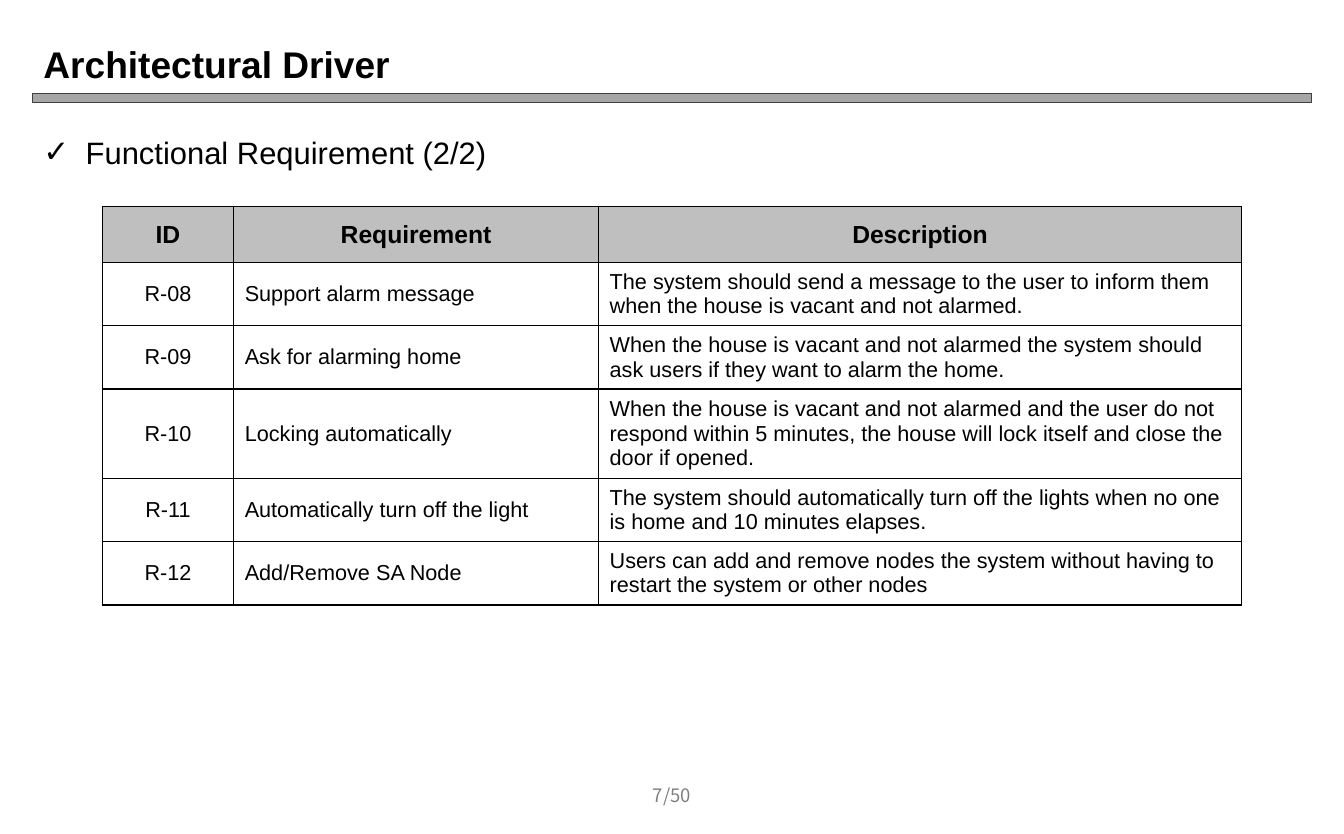
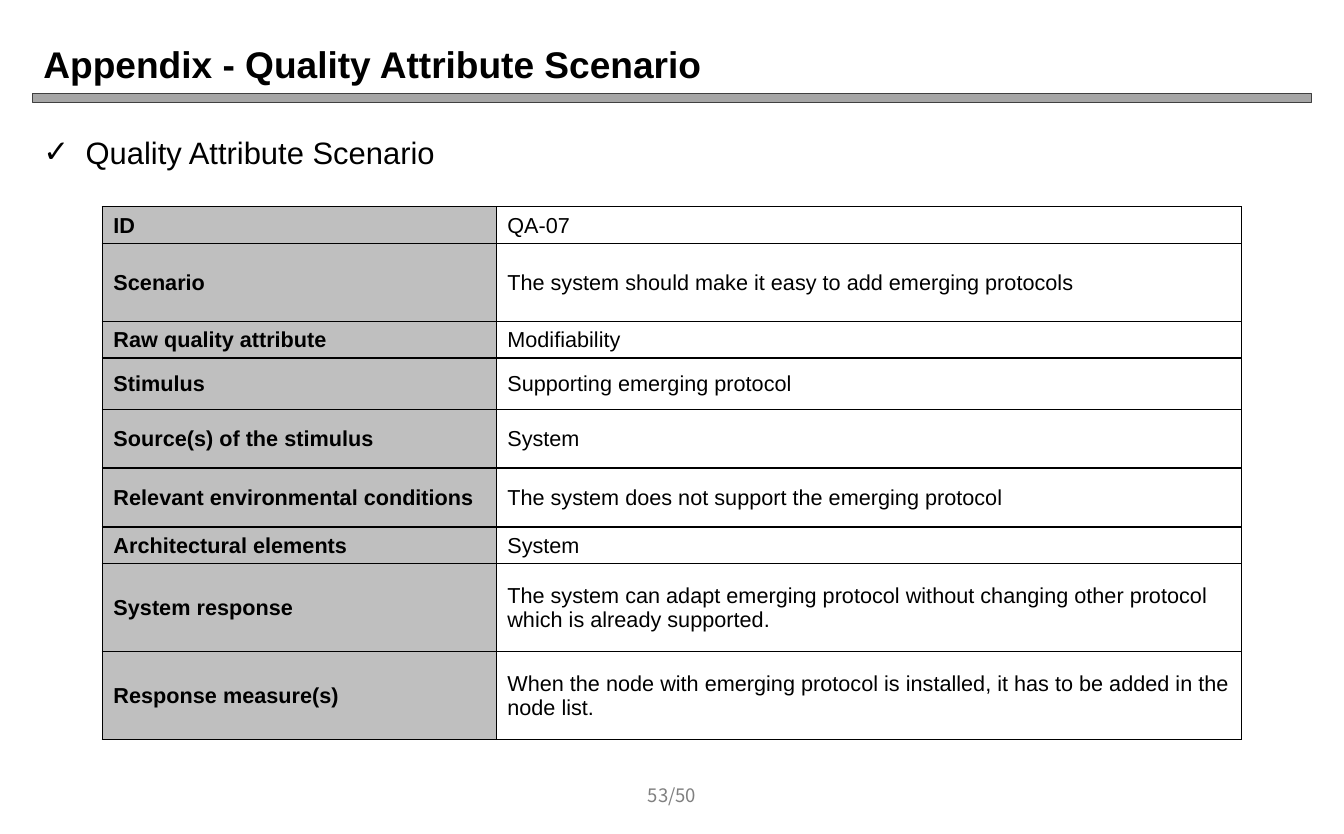
from dataclasses import dataclass

from lxml.etree import SubElement
from pptx import Presentation
from pptx.dml.color import RGBColor
from pptx.enum.shapes import MSO_SHAPE as Shape
from pptx.enum.text import MSO_ANCHOR as Anchor, MSO_AUTO_SIZE as AutoSize, PP_ALIGN as Align
from pptx.oxml.ns import qn
from pptx.util import Inches, Pt


@dataclass(frozen=True)
class Theme:
    font: str = "Arial"
    number_font: str = "Noto Sans CJK KR"
    ink: str = "000000"
    paper: str = "FFFFFF"
    head_fill: str = "BFBFBF"
    band_fill: str = "A6A6A6"
    band_line: str = "404040"
    number_ink: str = "808080"
    title_size: int = 24
    body_size: int = 20
    head_size: int = 16
    cell_size: int = 14
    number_size: int = 12


THEME = Theme()
WIDTH, HEIGHT = 12.08, 7.5
MARGIN = 0.29
CONTENT_WIDTH = WIDTH - 2 * MARGIN
TABLE_LEFT, TABLE_TOP = 0.92, 1.86

REQUIREMENTS = [
    ("ID", "Requirement", "Description"),
    ("R-08", "Support alarm message",
     "The system should send a message to the user to inform them when the house is "
     "vacant and not alarmed."),
    ("R-09", "Ask for alarming home",
     "When the house is vacant and not alarmed the system should ask users if they "
     "want to alarm the home."),
    ("R-10", "Locking automatically",
     "When the house is vacant and not alarmed and the user do not respond within "
     "5 minutes, the house will lock itself and close the door if opened."),
    ("R-11", "Automatically turn off the light",
     "The system should automatically turn off the lights when no one is home and "
     "10 minutes elapses."),
    ("R-12", "Add/Remove SA Node",
     "Users can add and remove nodes the system without having to restart the system "
     "or other nodes"),
]

SCENARIO = [
    ("ID", "QA-07"),
    ("Scenario", "The system should make it easy to add emerging protocols"),
    ("Raw quality attribute", "Modifiability"),
    ("Stimulus", "Supporting emerging protocol"),
    ("Source(s) of the stimulus", "System"),
    ("Relevant environmental conditions", "The system does not support the emerging protocol"),
    ("Architectural elements", "System"),
    ("System response",
     "The system can adapt emerging protocol without changing other protocol which is "
     "already supported."),
    ("Response measure(s)",
     "When the node with emerging protocol is installed, it has to be added in the node list."),
]


def color(value):
    return RGBColor.from_string(value)


def place(shape, left, top, width, height):
    shape.left, shape.top = Inches(left), Inches(top)
    shape.width, shape.height = Inches(width), Inches(height)


def write(frame, text, size, bold=False, align=Align.LEFT, font=THEME.font, ink=THEME.ink):
    """Put one formatted run in the frame and return its paragraph."""
    para = frame.paragraphs[0]
    para.alignment = align
    span = para.add_run()
    span.text = text
    span.font.size, span.font.bold, span.font.name = Pt(size), bold, font
    span.font.color.rgb = color(ink)
    return para


def add_check_bullet(para):
    props = para._p.get_or_add_pPr()
    indent = Inches(0.38)
    props.set("marL", str(indent))
    props.set("indent", str(-indent))
    SubElement(props, qn("a:buFont"), typeface=THEME.font)
    SubElement(props, qn("a:buChar"), char="✓")


def add_band(page):
    band = page.shapes.add_shape(Shape.FLOWCHART_PROCESS, Inches(MARGIN), Inches(0.84),
                                 Inches(CONTENT_WIDTH), Inches(0.08))
    band.shadow.inherit = False
    band.fill.solid()
    band.fill.fore_color.rgb = color(THEME.band_fill)
    band.line.color.rgb = color(THEME.band_line)
    band.line.width = Pt(0.75)


def add_page_number(page, text):
    width = 1.09
    box = page.shapes.add_textbox(Inches((WIDTH - width) / 2), Inches(6.95),
                                  Inches(width), Inches(0.4))
    frame = box.text_frame
    frame.word_wrap = True
    frame.vertical_anchor = Anchor.MIDDLE
    write(frame, text, THEME.number_size, align=Align.CENTER,
          font=THEME.number_font, ink=THEME.number_ink)


def add_page(deck, title, topic, number):
    page = deck.slides.add_slide(deck.slide_layouts[1])
    add_band(page)
    heading, body = page.shapes.title, page.placeholders[1]
    place(heading, MARGIN, 0.3, CONTENT_WIDTH, 0.54)
    place(body, MARGIN, 1.15, CONTENT_WIDTH, 5.67)
    for holder in (heading, body):
        holder.text_frame.auto_size = AutoSize.NONE
    heading.text_frame.vertical_anchor = Anchor.MIDDLE
    write(heading.text_frame, title, THEME.title_size, bold=True)
    add_check_bullet(write(body.text_frame, topic, THEME.body_size))
    add_page_number(page, number)
    return page


def add_borders(cell):
    props = cell._tc.get_or_add_tcPr()
    for side in ("lnL", "lnR", "lnT", "lnB"):
        line = SubElement(props, qn(f"a:{side}"), w=str(Pt(1)))
        fill = SubElement(line, qn("a:solidFill"))
        SubElement(fill, qn("a:srgbClr"), val=THEME.ink)


def fill_cell(cell, text, size, bold, align, fill, inset):
    """Write a bordered cell; inset holds its top and bottom margins."""
    add_borders(cell)
    if fill:
        cell.fill.solid()
        cell.fill.fore_color.rgb = color(fill)
    else:
        cell.fill.background()
    cell.vertical_anchor = Anchor.MIDDLE
    cell.margin_left = cell.margin_right = Inches(0.1)
    cell.margin_top, cell.margin_bottom = map(Inches, inset)
    write(cell.text_frame, text, size, bold, align)


def add_grid(page, rows, widths, heights, cell_style):
    """Add a table; cell_style(row, column) gives the look of each cell."""
    frame = page.shapes.add_table(len(heights), len(widths), Inches(TABLE_LEFT),
                                  Inches(TABLE_TOP), Inches(sum(widths)), Inches(sum(heights)))
    table = frame.table
    table.first_row = table.horz_banding = False
    for column, width in zip(table.columns, widths):
        column.width = Inches(width)
    for row, height in zip(table.rows, heights):
        row.height = Inches(height)
    for r, texts in enumerate(rows):
        for c, text in enumerate(texts):
            fill_cell(table.cell(r, c), text, **cell_style(r, c))


def requirement_style(row, column):
    head = row == 0
    return dict(size=THEME.head_size if head else THEME.cell_size, bold=head,
                align=Align.CENTER if head or column == 0 else Align.LEFT,
                fill=THEME.head_fill if head else THEME.paper, inset=(0.05, 0.05))


def scenario_style(row, column):
    label = column == 0
    return dict(size=THEME.cell_size, bold=label, align=Align.LEFT,
                fill=THEME.head_fill if label else None, inset=(0.01, 0))


def main():
    deck = Presentation()
    deck.slide_width, deck.slide_height = Inches(WIDTH), Inches(HEIGHT)

    page = add_page(deck, "Architectural Driver", "Functional Requirement (2/2)", "7/50")
    add_grid(page, REQUIREMENTS, (1.18, 3.28, 5.78),
             (0.5, 0.57, 0.57, 0.8, 0.57, 0.57), requirement_style)

    page = add_page(deck, "Appendix - Quality Attribute Scenario",
                    "Quality Attribute Scenario", "53/50")
    add_grid(page, SCENARIO, (3.54, 6.7),
             (0.33, 0.7, 0.33, 0.46, 0.53, 0.53, 0.33, 0.79, 0.79), scenario_style)

    deck.save("out.pptx")


if __name__ == "__main__":
    main()
